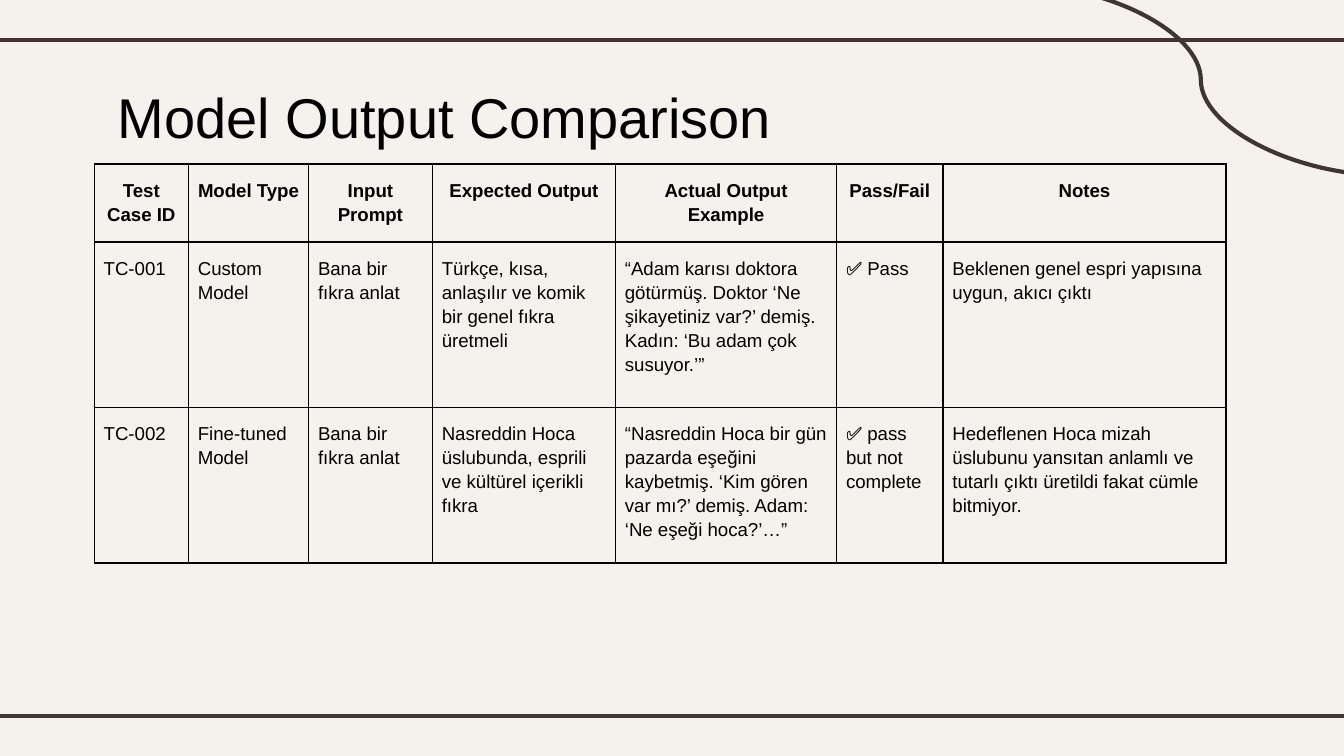
from dataclasses import dataclass

from lxml.etree import SubElement
from pptx import Presentation
from pptx.dml.color import RGBColor
from pptx.enum.shapes import MSO_CONNECTOR as Connector
from pptx.enum.text import MSO_ANCHOR as Anchor, PP_ALIGN as Align
from pptx.oxml.ns import qn
from pptx.util import Cm, Pt


@dataclass(frozen=True)
class Theme:
    background: RGBColor = RGBColor(0xF5, 0xF2, 0xEE)
    accent: RGBColor = RGBColor(0x3F, 0x35, 0x33)
    ink: RGBColor = RGBColor(0, 0, 0)
    font: str = "Arial"
    title_size: Pt = Pt(30)
    table_size: Pt = Pt(10)
    accent_width: Pt = Pt(2.25)
    border_width: Pt = Pt(0.75)


THEME = Theme()
SLIDE_WIDTH, SLIDE_HEIGHT = Cm(25.4), Cm(14.29)

TITLE = "Model Output Comparison"
COLUMN_WIDTHS = [1.78, 2.27, 2.34, 3.46, 4.18, 2.01, 5.35]
ROW_HEIGHTS = [1.41, 3.13, 2.77]
ROWS = [
    ["Test Case ID", "Model Type", "Input Prompt", "Expected Output",
     "Actual Output Example", "Pass/Fail", "Notes"],
    ["TC-001", "Custom Model", "Bana bir fıkra anlat",
     "Türkçe, kısa, anlaşılır ve komik bir genel fıkra üretmeli",
     "“Adam karısı doktora götürmüş. Doktor ‘Ne şikayetiniz var?’ demiş. "
     "Kadın: ‘Bu adam çok susuyor.’”",
     "✅ Pass", "Beklenen genel espri yapısına uygun, akıcı çıktı"],
    ["TC-002", "Fine-tuned Model", "Bana bir fıkra anlat",
     "Nasreddin Hoca üslubunda, esprili ve kültürel içerikli fıkra",
     "“Nasreddin Hoca bir gün pazarda eşeğini kaybetmiş. ‘Kim gören var mı?’ "
     "demiş. Adam: ‘Ne eşeği hoca?’…”",
     "✅ pass but not complete",
     "Hedeflenen Hoca mizah üslubunu yansıtan anlamlı ve tutarlı çıktı "
     "üretildi fakat cümle bitmiyor."],
]


def style_font(para, size, bold=False):
    para.font.name = THEME.font
    para.font.size = size
    para.font.bold = bold
    para.font.color.rgb = THEME.ink


def add_accent_line(page, kind, left, top, width, height):
    line = page.shapes.add_connector(kind, left, top, left + width, top + height)
    line.line.color.rgb = THEME.accent
    line.line.width = THEME.accent_width
    SubElement(line._element.spPr, qn("a:effectLst"))


def add_frame(page, left, top, width, height):
    """Draw the rules along the top and bottom of the box and the corner curve."""
    overhang = Cm(0.2)
    for y in (top, top + height):
        add_accent_line(page, Connector.STRAIGHT, left - overhang, y,
                        width + 2 * overhang, 0)
    add_accent_line(page, Connector.CURVE, left + width - Cm(6.27),
                    top - Cm(1.06), Cm(7.13), Cm(3.62))


def add_title(page, left, top, width, height):
    box = page.shapes.add_textbox(left, top, width, height)
    frame = box.text_frame
    frame.word_wrap = True
    frame.vertical_anchor = Anchor.TOP
    frame.margin_left = frame.margin_right = frame.margin_bottom = Cm(0.25)
    frame.margin_top = Cm(0.33)
    para = frame.paragraphs[0]
    para.text = TITLE
    style_font(para, THEME.title_size)


def add_borders(cell):
    properties = cell._tc.get_or_add_tcPr()
    for side in ("a:lnL", "a:lnR", "a:lnT", "a:lnB"):
        border = SubElement(properties, qn(side), w=str(THEME.border_width))
        fill = SubElement(border, qn("a:solidFill"))
        SubElement(fill, qn("a:srgbClr"), val=str(THEME.ink))


def fill_cell(cell, text, is_header):
    cell.margin_left = cell.margin_right = Cm(0.18)
    cell.margin_top = cell.margin_bottom = Cm(0.25)
    cell.vertical_anchor = Anchor.TOP
    add_borders(cell)
    cell.fill.background()
    para = cell.text_frame.paragraphs[0]
    para.text = text
    para.line_spacing = 1.15
    para.alignment = Align.CENTER if is_header else Align.LEFT
    style_font(para, THEME.table_size, bold=is_header)


def add_comparison_table(page, left, top, width, height):
    """Share the box among columns and rows in proportion to their sizes."""
    table = page.shapes.add_table(len(ROWS), len(COLUMN_WIDTHS),
                                  left, top, width, height).table
    table.first_row = table.horz_banding = False
    for column, share in zip(table.columns, COLUMN_WIDTHS):
        column.width = round(width * share / sum(COLUMN_WIDTHS))
    for row, share in zip(table.rows, ROW_HEIGHTS):
        row.height = round(height * share / sum(ROW_HEIGHTS))
    for row_index, (row, texts) in enumerate(zip(table.rows, ROWS)):
        for cell, text in zip(row.cells, texts):
            fill_cell(cell, text, is_header=row_index == 0)


def main():
    deck = Presentation()
    deck.slide_width, deck.slide_height = SLIDE_WIDTH, SLIDE_HEIGHT
    page = deck.slides.add_slide(deck.slide_layouts[6])
    page.background.fill.solid()
    page.background.fill.fore_color.rgb = THEME.background
    add_frame(page, 0, Cm(0.76), SLIDE_WIDTH, Cm(12.78))
    add_title(page, Cm(1.98), Cm(1.24), Cm(13.08), Cm(1.6))
    add_comparison_table(page, Cm(1.78), Cm(3.1),
                         Cm(sum(COLUMN_WIDTHS)), Cm(sum(ROW_HEIGHTS)))
    deck.save("out.pptx")


if __name__ == "__main__":
    main()
